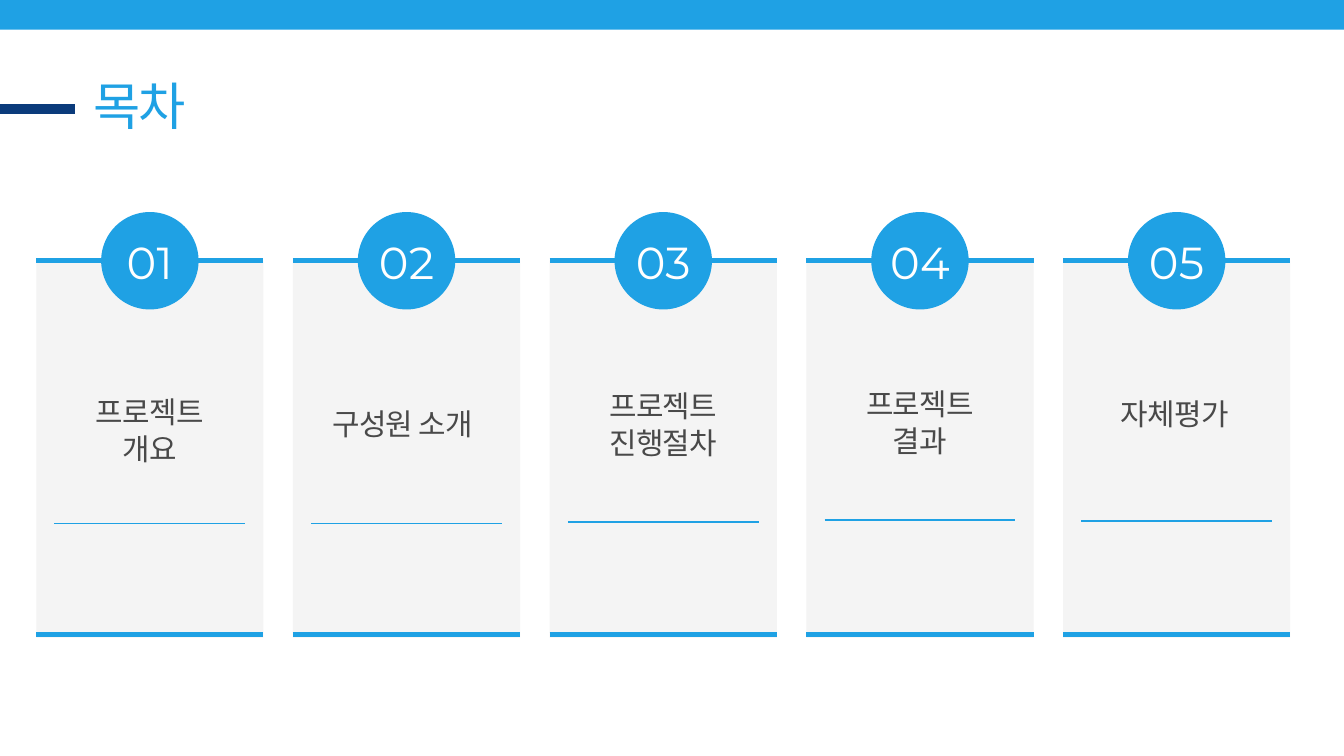
"""Build a table-of-contents slide with five numbered cards."""
import dataclasses
import typing

import pptx
import pptx.dml.color
import pptx.enum.shapes
import pptx.enum.text
import pptx.oxml
import pptx.oxml.ns
import pptx.shapes.autoshape
import pptx.slide
import pptx.util

Inches = pptx.util.Inches
Pt = pptx.util.Pt
ShapeType = pptx.enum.shapes.MSO_SHAPE
Align = pptx.enum.text.PP_ALIGN


class TextStyle(typing.NamedTuple):
    size: float
    font: str
    color: str
    line_spacing: float
    tracking: float
    align: Align


@dataclasses.dataclass(frozen=True)
class Theme:
    blue: str = "1FA1E4"
    navy: str = "0B3B7B"
    card: str = "F4F4F4"
    title: TextStyle = TextStyle(55, "Calibri", "1FA1E4", 66, -2.2, Align.LEFT)
    label: TextStyle = TextStyle(32, "Calibri", "494949", 40, -0.8, Align.CENTER)
    number: TextStyle = TextStyle(48, "Montserrat", "FFFFFF", 57.6, 0.5, Align.CENTER)


class Box(typing.NamedTuple):
    left: float
    top: float
    width: float
    height: float


@dataclasses.dataclass(frozen=True)
class Card:
    lines: tuple[str, ...]
    label_top: float
    rule_top: float
    label_shift: float = 0


THEME = Theme()
CARDS = (
    Card(("프로젝트", "개요"), 5.83, 7.79),
    Card(("구성원 소개",), 6.01, 7.79, -0.06),
    Card(("프로젝트", "진행절차"), 5.74, 7.77),
    Card(("프로젝트", "결과"), 5.71, 7.74),
    Card(("자체평가",), 5.86, 7.75, -0.03),
)
FIRST_LEFT, PITCH = 0.54, 3.82
CARD_TOP, CARD_WIDTH, CARD_HEIGHT = 3.88, 3.38, 5.61
CARD_BOTTOM_LINE = 9.44
CIRCLE = 1.45
NUMBER_WIDTH = 1.57
RULE_INSET = 0.27


def rgb(value: str) -> pptx.dml.color.RGBColor:
    """Return the colour for a hex value."""
    return pptx.dml.color.RGBColor.from_string(value)


def add_filled(slide: pptx.slide.Slide, kind: ShapeType, box: Box, color: str) -> None:
    """Draw a plain filled shape."""
    shape = slide.shapes.add_shape(kind, *map(Inches, box))
    shape.shadow.inherit = False
    shape.fill.solid()
    shape.fill.fore_color.rgb = rgb(color)
    shape.line.fill.background()


def add_line(slide: pptx.slide.Slide, left: float, right: float, top: float,
             color: str, width: float) -> None:
    """Draw a horizontal line."""
    connector = slide.shapes.add_connector(
        pptx.enum.shapes.MSO_CONNECTOR.STRAIGHT,
        Inches(left), Inches(top), Inches(right), Inches(top))
    connector.line.color.rgb = rgb(color)
    connector.line.width = Pt(width)
    effects = pptx.oxml.parse_xml(f"<a:effectLst {pptx.oxml.ns.nsdecls('a')}/>")
    connector._element.spPr.append(effects)


def add_text(slide: pptx.slide.Slide, box: Box, lines: tuple[str, ...],
             style: TextStyle) -> None:
    """Write one paragraph per line in a text box."""
    frame = slide.shapes.add_textbox(*map(Inches, box)).text_frame
    frame_format = {
        "margin_left": 0, "margin_top": 0, "margin_right": 0, "margin_bottom": 0,
        "word_wrap": True,
        "auto_size": pptx.enum.text.MSO_AUTO_SIZE.SHAPE_TO_FIT_TEXT,
    }
    for name, value in frame_format.items():
        setattr(frame, name, value)
    for index, line in enumerate(lines):
        paragraph = frame.add_paragraph() if index else frame.paragraphs[0]
        paragraph.alignment = style.align
        paragraph.line_spacing = Pt(style.line_spacing)
        run = paragraph.add_run()
        run.text = line
        for name, value in {"size": Pt(style.size), "name": style.font}.items():
            setattr(run.font, name, value)
        run.font.color.rgb = rgb(style.color)
        run._r.get_or_add_rPr().set("spc", str(round(style.tracking * 100)))


def add_card(slide: pptx.slide.Slide, index: int, card: Card) -> None:
    """Draw a numbered card with its label and rule."""
    left = FIRST_LEFT + index * PITCH
    right = left + CARD_WIDTH
    center = left + CARD_WIDTH / 2
    add_filled(slide, ShapeType.RECTANGLE,
               Box(left, CARD_TOP, CARD_WIDTH, CARD_HEIGHT), THEME.card)
    for top in (CARD_TOP, CARD_BOTTOM_LINE):
        add_line(slide, left, right, top, THEME.blue, 5)
    add_filled(slide, ShapeType.OVAL,
               Box(center - CIRCLE / 2, CARD_TOP - CIRCLE / 2, CIRCLE, CIRCLE),
               THEME.blue)
    add_text(slide, Box(center - NUMBER_WIDTH / 2, 3.5, NUMBER_WIDTH, 0.78),
             (f"{index + 1:02d}",), THEME.number)
    label_height = 0.63 if len(card.lines) == 1 else 1.19
    add_text(slide,
             Box(left + card.label_shift, card.label_top, CARD_WIDTH, label_height),
             card.lines, THEME.label)
    add_line(slide, left + RULE_INSET, right - RULE_INSET, card.rule_top,
             THEME.blue, 1.5)


def main() -> None:
    """Build and save the presentation."""
    presentation = pptx.Presentation()
    presentation.slide_width = Inches(20)
    presentation.slide_height = Inches(11.25)
    slide = presentation.slides.add_slide(presentation.slide_layouts[6])
    add_filled(slide, ShapeType.RECTANGLE, Box(-0.12, -0.13, 20.23, 0.57), THEME.blue)
    add_line(slide, -0.34, 1.12, 1.62, THEME.navy, 11.25)
    add_text(slide, Box(1.39, 1.11, 7.23, 1.06), ("목차",), THEME.title)
    for index, card in enumerate(CARDS):
        add_card(slide, index, card)
    presentation.save("out.pptx")


if __name__ == "__main__":
    main()
